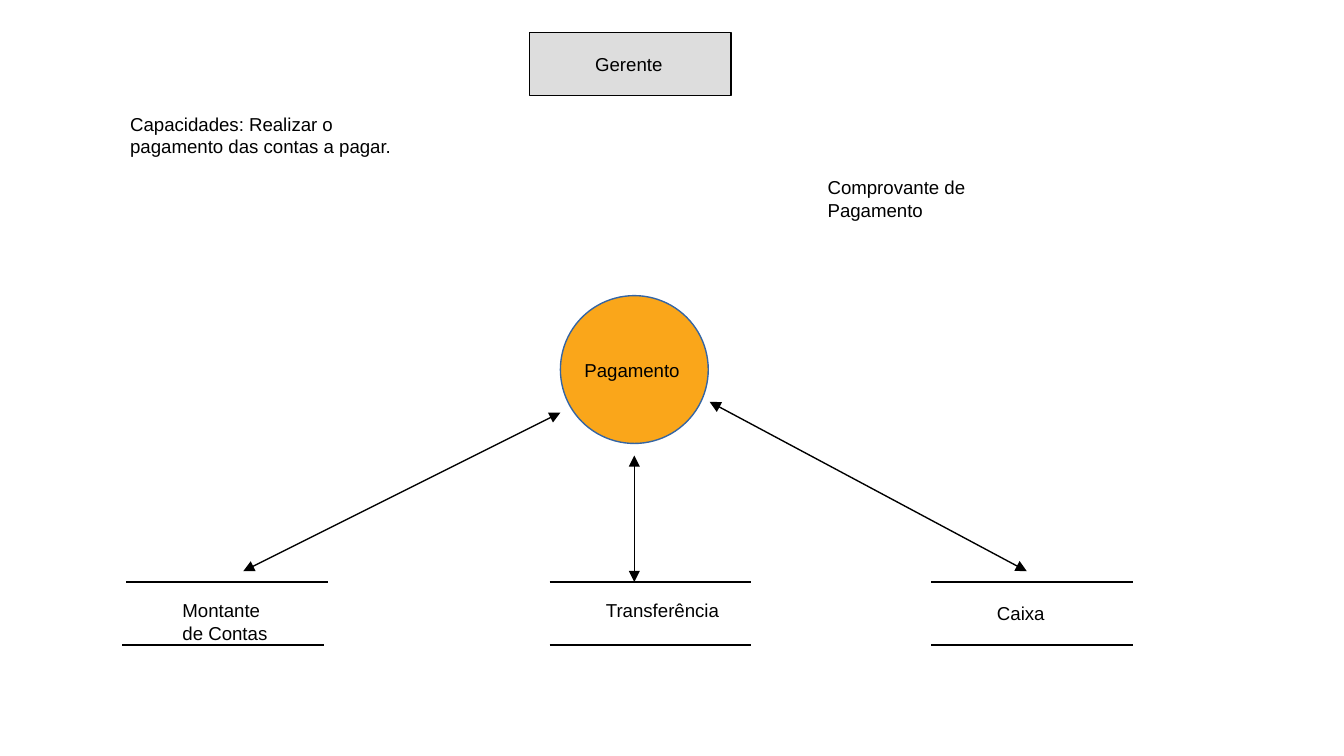
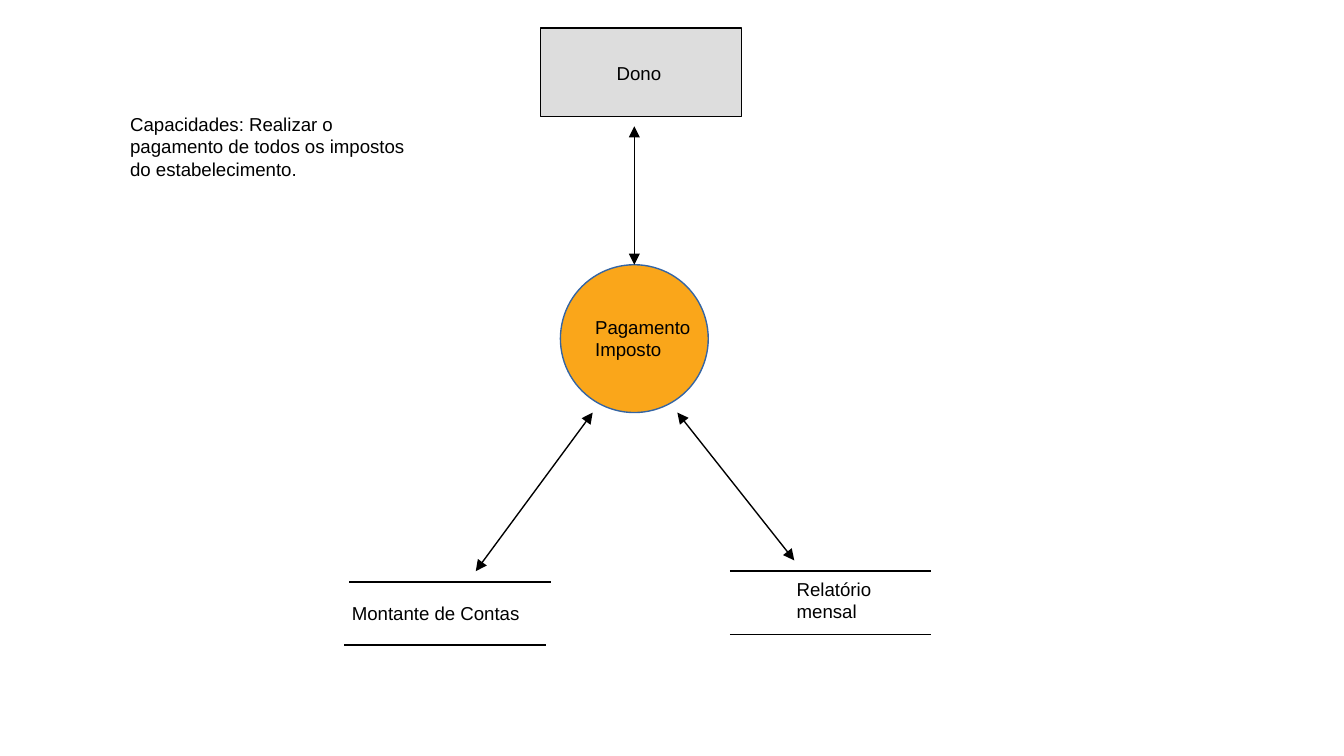
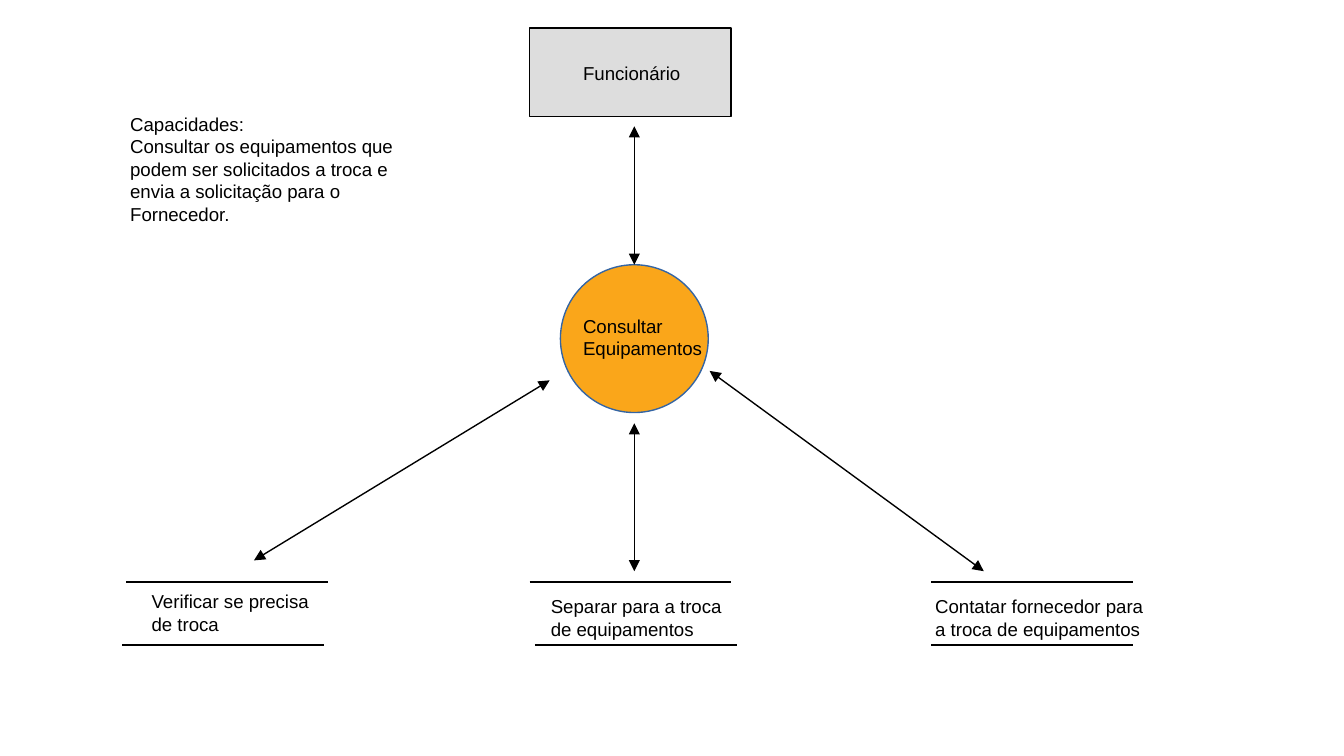
from lxml import etree
from pptx import Presentation
from pptx import util as u
from pptx.dml import color
from pptx.enum import shapes
from pptx.oxml import ns

BLACK = "000000"
GREY = "DDDDDD"
ORANGE = "FAA61A"
BLUE = "3465A4"
FONT = "Arial"
FONT_SIZE = 10
LINE_WIDTH = 0.75
CIRCLE_LEFT = 4.17
CIRCLE_SIZE = 1.1
AXIS = CIRCLE_LEFT + CIRCLE_SIZE / 2
BOX_WIDTH = 1.5
STORE_WIDTH = 1.5
STORE_HEIGHT = 0.47
LABEL_HEIGHT = 0.29


def rgb(value):
    return color.RGBColor.from_string(value)


def style_line(line, value):
    line.color.rgb = rgb(value)
    line.width = u.Pt(LINE_WIDTH)


def add_label(slide, words, left, top, width, height=LABEL_HEIGHT):
    label = slide.shapes.add_textbox(*map(u.Inches, (left, top, width, height)))
    frame = label.text_frame
    frame.word_wrap = True
    frame.text = words
    for paragraph in frame.paragraphs:
        for run in paragraph.runs:
            run.font.name = FONT
            run.font.size = u.Pt(FONT_SIZE)
            run.font.color.rgb = rgb(BLACK)


def add_filled(slide, kind, position, fill, outline):
    shape = slide.shapes.add_shape(kind, *map(u.Inches, position))
    shape.shadow.inherit = False
    shape.fill.solid()
    shape.fill.fore_color.rgb = rgb(fill)
    style_line(shape.line, outline)
    return shape


def add_actor(slide, name, box, label):
    left, top, height = box
    add_filled(slide, shapes.MSO_SHAPE.RECTANGLE, (left, top, BOX_WIDTH, height), GREY, BLACK)
    add_label(slide, name, *label)


def add_process(slide, name, top, label):
    position = (CIRCLE_LEFT, top, CIRCLE_SIZE, CIRCLE_SIZE)
    circle = add_filled(slide, shapes.MSO_SHAPE.OVAL, position, ORANGE, BLUE)
    add_label(slide, name, *label)
    return circle


def add_line(slide, start, end):
    line = slide.shapes.add_connector(
        shapes.MSO_CONNECTOR.STRAIGHT, *map(u.Inches, (*start, *end)))
    style_line(line.line, BLACK)
    etree.SubElement(line._element.spPr, ns.qn("a:effectLst"))
    return line


def add_arrow(slide, start, end):
    arrow = add_line(slide, start, end)
    outline = arrow.line._get_or_add_ln()
    for tag in ("a:headEnd", "a:tailEnd"):
        etree.SubElement(outline, ns.qn(tag), type="triangle")
    return arrow


def add_store(slide, name, left, label, top=4.33, lower_shift=0):
    for x, y in ((left, top), (left + lower_shift, top + STORE_HEIGHT)):
        add_line(slide, (x, y), (x + STORE_WIDTH, y))
    add_label(slide, name, *label)


def add_capabilities(slide, words, height):
    add_label(slide, words, 0.87, 0.79, 2.28, height)


def add_actor_arrow(slide, circle):
    arrow = add_arrow(slide, (AXIS, 0.94), (AXIS, 1.97))
    arrow.end_connect(circle, 0)


def build_payment(slide):
    add_process(slide, "Pagamento", 2.2, (4.25, 2.62, 1.02))
    add_actor(slide, "Gerente", (3.94, 0.24, 0.47), (4.33, 0.34, 1.02))
    add_capabilities(slide, "Capacidades: Realizar o pagamento das contas a pagar.", 0.41)
    add_label(slide, "Comprovante de Pagamento", 6.06, 1.26, 1.26, 0.39)
    add_store(slide, "Montante de Contas", 0.94, (1.26, 4.41, 0.87), lower_shift=-0.03)
    add_store(slide, "Transferência", 4.09, (4.41, 4.41, 1.1))
    add_store(slide, "Caixa", 6.93, (7.32, 4.43, 0.87))
    add_arrow(slide, (1.81, 4.25), (4.17, 3.07))
    add_arrow(slide, (AXIS, 3.39), (AXIS, 4.33))
    add_arrow(slide, (5.28, 2.99), (7.64, 4.25))


def build_tax(slide):
    circle = add_process(slide, "Pagamento Imposto", 1.97, (4.33, 2.3, 1.34))
    add_actor(slide, "Dono", (4.02, 0.21, 0.66), (4.49, 0.41, 0.87))
    add_capabilities(
        slide, "Capacidades: Realizar o pagamento de todos os impostos do estabelecimento.", 0.56)
    add_store(slide, "Montante de Contas", 2.6, (2.52, 4.43, 1.57), lower_shift=-0.04)
    add_store(slide, "Relatório mensal", 5.43, (5.83, 4.25, 0.87), top=4.25)
    add_actor_arrow(slide, circle)
    add_arrow(slide, (3.54, 4.25), (4.41, 3.07))
    add_arrow(slide, (5.04, 3.07), (5.91, 4.17))


def build_equipment(slide):
    circle = add_process(slide, "Consultar Equipamentos", 1.97, (4.24, 2.29, 1.1, 0.45))
    add_actor(slide, "Funcionário", (3.94, 0.21, 0.66), (4.24, 0.41, 0.95))
    add_capabilities(
        slide,
        "Capacidades: \vConsultar os equipamentos que podem ser solicitados a troca "
        "e envia a solicitação para o Fornecedor.", 0.79)
    add_store(slide, "Verificar se precisa de troca", 0.94, (1.03, 4.34, 1.37), lower_shift=-0.03)
    add_store(slide, "Separar para a troca de equipamentos", 3.94, (4, 4.38, 1.55), lower_shift=0.04)
    add_store(slide, "Contatar fornecedor para a troca de equipamentos", 6.93, (6.86, 4.38, 1.75))
    add_actor_arrow(slide, circle)
    add_arrow(slide, (1.89, 4.17), (4.09, 2.83))
    add_arrow(slide, (AXIS, 3.15), (AXIS, 4.25))
    add_arrow(slide, (5.28, 2.76), (7.32, 4.25))


def main():
    presentation = Presentation()
    presentation.slide_width = u.Inches(10)
    presentation.slide_height = u.Inches(10 * 9 / 16)
    for build in (build_payment, build_tax, build_equipment):
        build(presentation.slides.add_slide(presentation.slide_layouts[6]))
    presentation.save("out.pptx")


if __name__ == "__main__":
    main()
